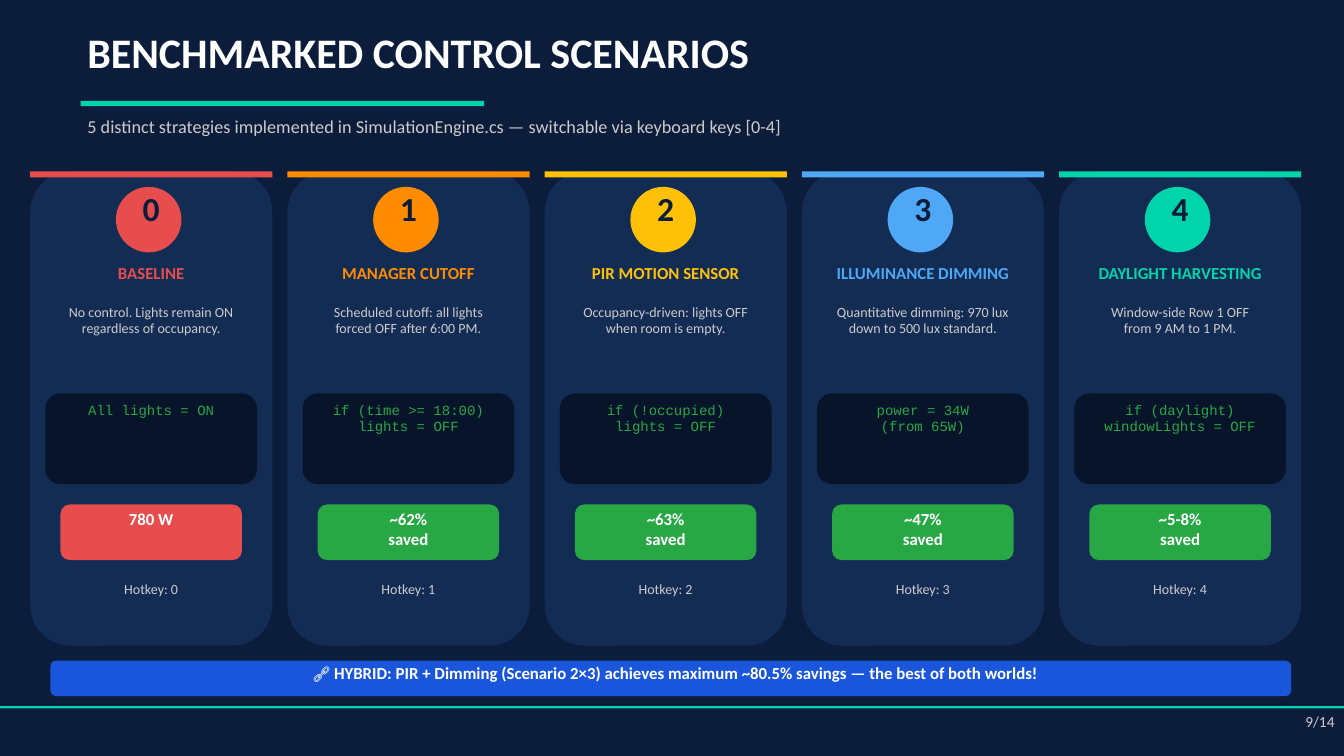
from dataclasses import dataclass

from pptx import Presentation
from pptx import util as u
from pptx.dml import color
from pptx.enum import shapes, text


@dataclass(frozen=True)
class Theme:
    background: str = "0B1D3A"
    card: str = "122C54"
    code_panel: str = "08142A"
    accent: str = "00D4AA"
    white: str = "FFFFFF"
    muted: str = "CCCCCC"
    green: str = "28A745"
    red: str = "E84D4D"
    orange: str = "FF8C00"
    yellow: str = "FFC107"
    sky: str = "4EA8F5"
    banner: str = "1A56DB"
    body_font: str = "Calibri"
    code_font: str = "Courier New"
    title: float = 45
    digit: float = 36
    subtitle: float = 19.5
    label: float = 18
    page: float = 16.5
    small: float = 15


THEME = Theme()
RECTANGLE = shapes.MSO_SHAPE.RECTANGLE
ROUNDED = shapes.MSO_SHAPE.ROUNDED_RECTANGLE
OVAL = shapes.MSO_SHAPE.OVAL
LEFT, CENTER, RIGHT = text.PP_ALIGN.LEFT, text.PP_ALIGN.CENTER, text.PP_ALIGN.RIGHT

CARD_LEFT, CARD_TOP = 32.4, 183.6
CARD_WIDTH, CARD_HEIGHT = 259.4, 508.3
CARD_PITCH = 275.6

SCENARIOS = [
    ("BASELINE", THEME.red, "No control. Lights remain ON\nregardless of occupancy.",
     "All lights = ON", "780 W", THEME.red),
    ("MANAGER CUTOFF", THEME.orange, "Scheduled cutoff: all lights\nforced OFF after 6:00 PM.",
     "if (time >= 18:00)\nlights = OFF", "~62%\nsaved", THEME.green),
    ("PIR MOTION SENSOR", THEME.yellow, "Occupancy-driven: lights OFF\nwhen room is empty.",
     "if (!occupied)\nlights = OFF", "~63%\nsaved", THEME.green),
    ("ILLUMINANCE DIMMING", THEME.sky, "Quantitative dimming: 970 lux\ndown to 500 lux standard.",
     "power = 34W\n(from 65W)", "~47%\nsaved", THEME.green),
    ("DAYLIGHT HARVESTING", THEME.accent, "Window-side Row 1 OFF\nfrom 9 AM to 1 PM.",
     "if (daylight)\nwindowLights = OFF", "~5-8%\nsaved", THEME.green),
]


class SlideBuilder:
    def __init__(self, slide, theme):
        self.slide = slide
        self.theme = theme
        fill = slide.background.fill
        fill.solid()
        fill.fore_color.rgb = color.RGBColor.from_string(theme.background)

    def panel(self, kind, left, top, width, height, fill):
        shape = self.slide.shapes.add_shape(
            kind, u.Pt(left), u.Pt(top), u.Pt(width), u.Pt(height))
        shape.shadow.inherit = False
        shape.fill.solid()
        shape.fill.fore_color.rgb = color.RGBColor.from_string(fill)
        shape.line.fill.background()

    def label(self, words, left, top, width, height, size, ink,
              bold=False, align=CENTER, font=None):
        shape = self.slide.shapes.add_textbox(
            u.Pt(left), u.Pt(top), u.Pt(width), u.Pt(height))
        frame = shape.text_frame
        frame.word_wrap = True
        frame.margin_left = frame.margin_right = 0
        frame.margin_top = frame.margin_bottom = 0
        frame.text = words
        for paragraph in frame.paragraphs:
            paragraph.alignment = align
            paragraph.line_spacing = u.Pt(1.2 * size)
            for run in paragraph.runs:
                run.font.name = font or self.theme.body_font
                run.font.size = u.Pt(size)
                run.font.bold = bold
                run.font.color.rgb = color.RGBColor.from_string(ink)

    def scenario_card(self, number, name, tint, description, code, result, result_fill):
        theme = self.theme
        left = CARD_LEFT + number * CARD_PITCH
        self.panel(ROUNDED, left, CARD_TOP, CARD_WIDTH, CARD_HEIGHT, theme.card)
        self.panel(RECTANGLE, left, CARD_TOP, CARD_WIDTH, 6.5, tint)
        self.panel(OVAL, left + 91.8, 200.2, 70.2, 70.2, tint)
        self.label(str(number), left + 101.5, 201.6, 56.2, 62.6,
                   theme.digit, theme.background, bold=True)
        self.label(name, left + 18, 281.5, 223.2, 33.8, theme.label, tint, bold=True)
        self.label(description, left + 18, 324.7, 223.2, 82, theme.small, theme.muted)
        self.panel(ROUNDED, left + 16.2, 421.5, 226.8, 97.2, theme.code_panel)
        self.label(code, left + 28.8, 429.8, 201.6, 80, theme.small, theme.green,
                   font=theme.code_font)
        self.panel(ROUNDED, left + 32.4, 540.5, 194.4, 59.6, result_fill)
        self.label(result, left + 45, 544.5, 169.2, 49.7, theme.label, theme.white, bold=True)
        self.label(f"Hotkey: {number}", left + 18, 622, 223.2, 28, theme.small, theme.muted)


def main():
    presentation = Presentation()
    presentation.slide_width = u.Pt(1440)
    presentation.slide_height = u.Pt(810)
    slide = presentation.slides.add_slide(presentation.slide_layouts[6])
    builder = SlideBuilder(slide, THEME)

    builder.label("BENCHMARKED CONTROL SCENARIOS", 93.6, 28.8, 1066, 75.6,
                  THEME.title, THEME.white, bold=True, align=LEFT)
    builder.panel(RECTANGLE, 86.4, 108, 432.4, 5.8, THEME.accent)
    builder.label("5 distinct strategies implemented in SimulationEngine.cs"
                  " — switchable via keyboard keys [0-4]",
                  93.6, 123.8, 1066, 34.6, THEME.subtitle, THEME.muted, align=LEFT)

    for number, scenario in enumerate(SCENARIOS):
        builder.scenario_card(number, *scenario)

    builder.panel(ROUNDED, 54, 707.8, 1329.5, 38, THEME.banner)
    builder.label("🔗 HYBRID: PIR + Dimming (Scenario 2×3) achieves maximum ~80.5% savings"
                  " — the best of both worlds!",
                  82.8, 710.6, 1282.3, 28, THEME.label, THEME.white, bold=True)
    builder.panel(RECTANGLE, 0, 756.7, 1440, 2.2, THEME.accent)
    builder.label("9/14", 1336.3, 763.2, 93.6, 38, THEME.page, THEME.muted, align=RIGHT)

    presentation.save("out.pptx")


if __name__ == "__main__":
    main()
